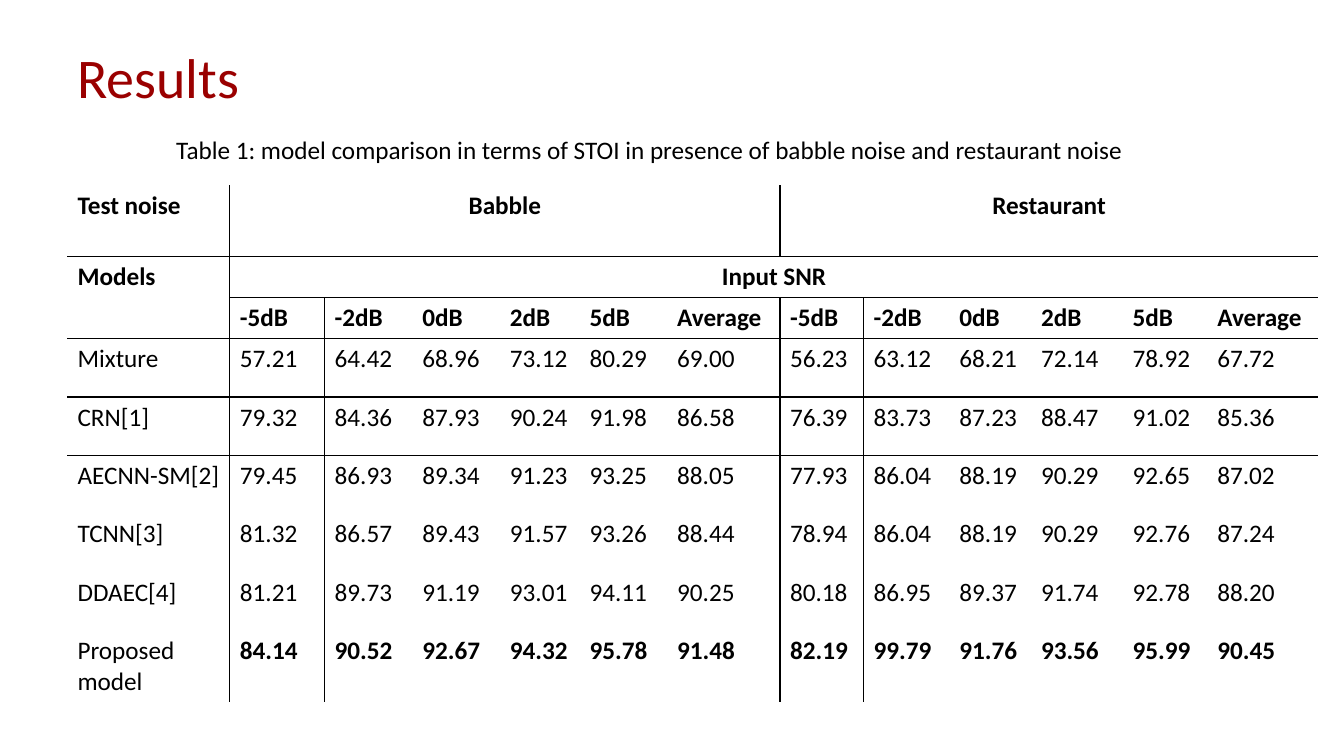
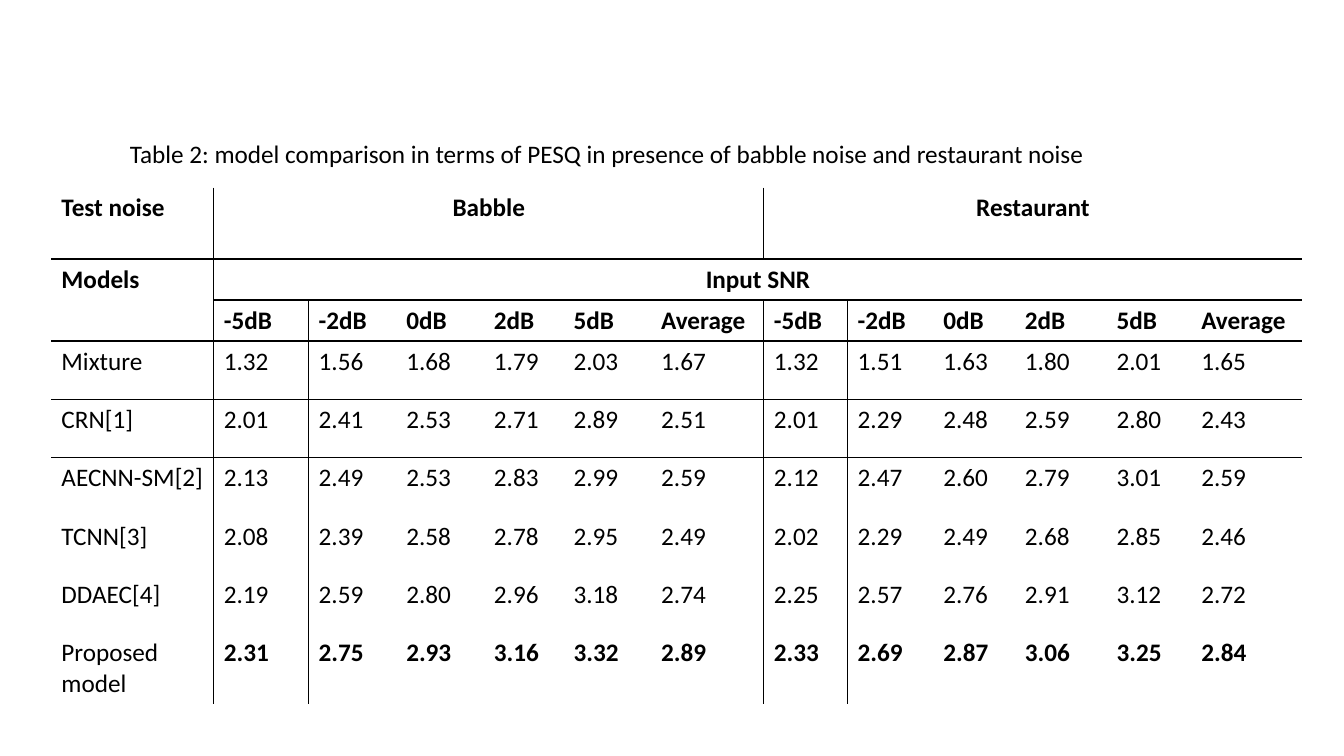
import lxml.etree
import pptx
import pptx.dml.color
import pptx.enum.text
import pptx.oxml.ns
import pptx.util

Pt = pptx.util.Pt
qn = pptx.oxml.ns.qn
PP_ALIGN = pptx.enum.text.PP_ALIGN

# Shared look
TITLE_RED = pptx.dml.color.RGBColor(0x9A, 0x00, 0x00)
BLACK = pptx.dml.color.RGBColor(0x00, 0x00, 0x00)
TITLE_FONT = {"name": "Calibri", "size": Pt(40), "bold": False}
BODY_FONT = {"name": "Calibri", "size": Pt(18), "bold": False}
BOLD_FONT = {**BODY_FONT, "bold": True}
NO_STYLE = "{2D5ABB26-0587-4C30-8999-92F81FD0307C}"

# Shared table layout
COLUMN_WIDTHS = [116, 67.7, 62.6, 62.6, 56.9, 62.6, 80.6,
                 59.8, 61.2, 58.3, 65.5, 60.5, 79.2]
ROW_HEIGHTS = [51, 29.3, 29.3] + [41.7] * 5 + [51]
SNR_LEVELS = ["-5dB", "-2dB", "0dB", "2dB", "5dB", "Average"]
HEADER = {(0, 0): "Test noise", (0, 1): "Babble", (0, 7): "Restaurant",
          (1, 0): "Models", (1, 1): "Input SNR"}
MERGES = [((0, 1), (0, 6)), ((0, 7), (0, 12)), ((1, 0), (2, 0)), ((1, 1), (1, 12))]
MODELS = ["Mixture", "CRN[1]", "AECNN-SM[2]", "TCNN[3]", "DDAEC[4]", "Proposed model"]
HEADER_ROWS = 3
RULED_ROWS = range(4)   # rows with a line below
RULED_COLUMNS = (0, 6)  # columns with a line to the right

# Scores, one line per model: six babble values, six restaurant values
STOI = """
57.21 64.42 68.96 73.12 80.29 69.00 56.23 63.12 68.21 72.14 78.92 67.72
79.32 84.36 87.93 90.24 91.98 86.58 76.39 83.73 87.23 88.47 91.02 85.36
79.45 86.93 89.34 91.23 93.25 88.05 77.93 86.04 88.19 90.29 92.65 87.02
81.32 86.57 89.43 91.57 93.26 88.44 78.94 86.04 88.19 90.29 92.76 87.24
81.21 89.73 91.19 93.01 94.11 90.25 80.18 86.95 89.37 91.74 92.78 88.20
84.14 90.52 92.67 94.32 95.78 91.48 82.19 99.79 91.76 93.56 95.99 90.45
"""
PESQ = """
1.32 1.56 1.68 1.79 2.03 1.67 1.32 1.51 1.63 1.80 2.01 1.65
2.01 2.41 2.53 2.71 2.89 2.51 2.01 2.29 2.48 2.59 2.80 2.43
2.13 2.49 2.53 2.83 2.99 2.59 2.12 2.47 2.60 2.79 3.01 2.59
2.08 2.39 2.58 2.78 2.95 2.49 2.02 2.29 2.49 2.68 2.85 2.46
2.19 2.59 2.80 2.96 3.18 2.74 2.25 2.57 2.76 2.91 3.12 2.72
2.31 2.75 2.93 3.16 3.32 2.89 2.33 2.69 2.87 3.06 3.25 2.84
"""
RESULTS = [
    {"title": "Results", "measure": "STOI", "scores": STOI,
     "caption_at": (118.8, 92.2, 766.8), "table_at": (48.2, 132.3)},
    {"title": None, "measure": "PESQ", "scores": PESQ,
     "caption_at": (85.7, 95, 800.6), "table_at": (36.7, 134)},
]


def write(frame, text, font_format, color=BLACK, align=PP_ALIGN.LEFT):
    """Put one formatted paragraph into a text frame."""
    paragraph = frame.paragraphs[0]
    paragraph.alignment = align
    run = paragraph.add_run()
    run.text = text
    for attribute, value in font_format.items():
        setattr(run.font, attribute, value)
    run.font.color.rgb = color
    return paragraph


def draw_borders(cell, sides):
    """Add thin lines to the sides of a cell, named L, R, T and B."""
    properties = cell._tc.get_or_add_tcPr()
    for side in sides:
        line = lxml.etree.SubElement(properties, qn(f"a:ln{side}"), w=str(Pt(1)))
        fill = lxml.etree.SubElement(line, qn("a:solidFill"))
        lxml.etree.SubElement(fill, qn("a:srgbClr"), val=str(BLACK))


presentation = pptx.Presentation()
presentation.slide_width, presentation.slide_height = Pt(960), Pt(540)
TITLE_ONLY, BLANK = presentation.slide_layouts[5], presentation.slide_layouts[6]

for number, result in enumerate(RESULTS, start=1):
    slide = presentation.slides.add_slide(TITLE_ONLY if result["title"] else BLANK)

    # Title
    if result["title"]:
        title = slide.shapes.title
        title.left, title.top, title.width, title.height = Pt(48.2), Pt(22.3), Pt(197.3), Pt(69.8)
        title.text_frame.vertical_anchor = pptx.enum.text.MSO_ANCHOR.MIDDLE
        write(title.text_frame, result["title"], TITLE_FONT, TITLE_RED).line_spacing = 0.9

    # Results table
    left, top = result["table_at"]
    scores = slide.shapes.add_table(
        len(ROW_HEIGHTS), len(COLUMN_WIDTHS), Pt(left), Pt(top),
        Pt(sum(COLUMN_WIDTHS)), Pt(sum(ROW_HEIGHTS))).table
    scores.first_row = scores.horz_banding = False
    scores._tbl.tblPr.find(qn("a:tableStyleId")).text = NO_STYLE
    for column, width in zip(scores.columns, COLUMN_WIDTHS):
        column.width = Pt(width)
    for row, height in zip(scores.rows, ROW_HEIGHTS):
        row.height = Pt(height)
    for first, last in MERGES:
        scores.cell(*first).merge(scores.cell(*last))

    # Cell texts by position
    texts = dict(HEADER)
    texts.update({(2, c): level for c, level in enumerate(SNR_LEVELS * 2, start=1)})
    score_lines = result["scores"].strip().splitlines()
    for r, (model, score_line) in enumerate(zip(MODELS, score_lines), start=HEADER_ROWS):
        texts.update({(r, c): text for c, text in enumerate([model, *score_line.split()])})

    # Cell formats and rules
    last_row = len(ROW_HEIGHTS) - 1
    for (r, c), text in texts.items():
        cell = scores.cell(r, c)
        is_bold = r < HEADER_ROWS or (r == last_row and c > 0)
        align = PP_ALIGN.CENTER if cell.span_width > 1 else PP_ALIGN.LEFT
        write(cell.text_frame, text, BOLD_FONT if is_bold else BODY_FONT, align=align)
        ruled = {"L": c - 1 in RULED_COLUMNS,
                 "R": c + cell.span_width - 1 in RULED_COLUMNS,
                 "T": r - 1 in RULED_ROWS,
                 "B": r + cell.span_height - 1 in RULED_ROWS}
        draw_borders(cell, [side for side, shown in ruled.items() if shown])
        cell.fill.background()

    # Caption
    left, top, width = result["caption_at"]
    caption = slide.shapes.add_textbox(Pt(left), Pt(top), Pt(width), Pt(29)).text_frame
    caption.word_wrap = True
    caption.auto_size = pptx.enum.text.MSO_AUTO_SIZE.SHAPE_TO_FIT_TEXT
    write(caption, f"Table {number}: model comparison in terms of {result['measure']} "
                   "in presence of babble noise and restaurant noise", BODY_FONT)

presentation.save("out.pptx")
